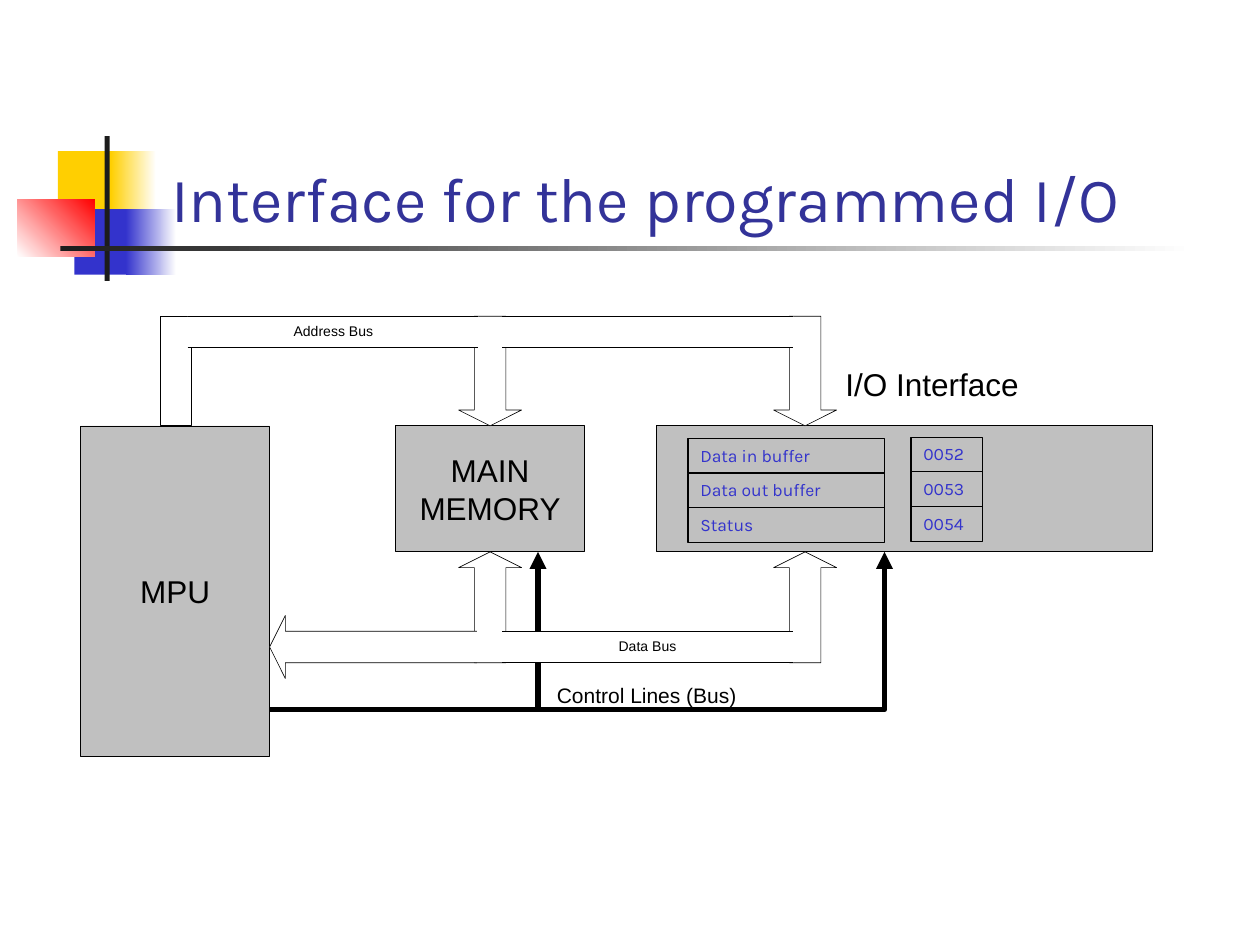
from dataclasses import dataclass

from lxml import etree
from pptx import Presentation
from pptx.dml.color import RGBColor
from pptx.enum.shapes import MSO_CONNECTOR, MSO_SHAPE
from pptx.enum.text import MSO_ANCHOR, PP_ALIGN
from pptx.oxml.ns import qn
from pptx.util import Inches, Pt

RECTANGLE = MSO_SHAPE.RECTANGLE
STRAIGHT = MSO_CONNECTOR.STRAIGHT
LEFT, CENTER = PP_ALIGN.LEFT, PP_ALIGN.CENTER
TOP, MIDDLE, BOTTOM = MSO_ANCHOR.TOP, MSO_ANCHOR.MIDDLE, MSO_ANCHOR.BOTTOM


@dataclass(frozen=True)
class Theme:
    black: str = "000000"
    white: str = "FFFFFF"
    block: str = "C0C0C0"
    title: str = "333399"
    blue: str = "3333CC"
    yellow: str = "FFCF01"
    red: str = "FF0000"
    charcoal: str = "1C1C1C"
    display_font: str = "Karla"
    diagram_font: str = "Arial"
    title_size: float = 36
    block_size: float = 18
    control_size: float = 12
    register_size: float = 10
    bus_size: float = 8
    hairline: float = 0.37
    register_line: float = 0.75
    control_line: float = 3.25


THEME = Theme()

# Shared bus geometry, in inches
BUS_WIDTH = 0.25
HEAD_LENGTH = BUS_WIDTH / 2
ADDRESS_TOP, DATA_TOP = 2.51, 5.01
BLOCK_TOP, BLOCK_BOTTOM = 3.38, 4.38
MPU_RIGHT = 2.14
MEMORY_X, IO_X = 3.89, 6.39
CONTROL_Y = 5.63


def rgb(color):
    return RGBColor.from_string(color)


def set_line(line, width, color=THEME.black):
    line.width = Pt(width)
    line.color.rgb = rgb(color)


def add_text(paragraph, text, size, color=THEME.black, font=THEME.diagram_font, align=LEFT):
    paragraph.alignment = align
    run = paragraph.add_run()
    run.text = text
    run.font.size = Pt(size)
    run.font.name = font
    run.font.color.rgb = rgb(color)


def add_box(slide, left, top, width, height, fill=None, line_width=None):
    box = slide.shapes.add_shape(RECTANGLE, *map(Inches, (left, top, width, height)))
    box.shadow.inherit = False
    if fill:
        box.fill.solid()
        box.fill.fore_color.rgb = rgb(fill)
    else:
        box.fill.background()
    if line_width:
        set_line(box.line, line_width)
    else:
        box.line.fill.background()
    return box


def add_fade(slide, left, top, width, height, start, end, angle=0):
    fill = add_box(slide, left, top, width, height).fill
    fill.gradient()
    fill.gradient_angle = angle
    for stop, color in zip(fill.gradient_stops, (start, end)):
        stop.color.rgb = rgb(color)


def add_block(slide, left, top, width, height, lines=()):
    block = add_box(slide, left, top, width, height, THEME.block, THEME.hairline)
    frame = block.text_frame
    frame.vertical_anchor = MIDDLE
    for i, text in enumerate(lines):
        paragraph = frame.add_paragraph() if i else frame.paragraphs[0]
        add_text(paragraph, text, THEME.block_size, align=CENTER)


def add_label(slide, left, top, width, height, text, size):
    frame = slide.shapes.add_textbox(*map(Inches, (left, top, width, height))).text_frame
    frame.margin_left = frame.margin_right = frame.margin_top = frame.margin_bottom = 0
    frame.word_wrap = False
    add_text(frame.paragraphs[0], text, size)


def add_line(slide, start, end, width):
    line = slide.shapes.add_connector(STRAIGHT, *map(Inches, (*start, *end)))
    set_line(line.line, width)
    etree.SubElement(line._element.spPr, qn("a:effectLst"))
    return line


def add_outline(slide, points, width, fill=None, close=False):
    corners = [(Inches(x), Inches(y)) for x, y in points]
    builder = slide.shapes.build_freeform(*corners[0])
    builder.add_line_segments(corners[1:], close=close)
    outline = builder.convert_to_shape()
    outline.shadow.inherit = False
    if fill:
        outline.fill.solid()
        outline.fill.fore_color.rgb = rgb(fill)
    else:
        outline.fill.background()
    set_line(outline.line, width)
    return outline


def add_arrowhead(shape):
    etree.SubElement(shape.line._get_or_add_ln(), qn("a:tailEnd"), type="triangle")


def add_bus_arrow(slide, tip, length, back, close=True):
    """Block arrow whose shaft runs from the tip along the unit vector back."""
    (x, y), (dx, dy) = tip, back
    half = BUS_WIDTH / 2
    profile = [(length, half), (HEAD_LENGTH, half), (HEAD_LENGTH, BUS_WIDTH), (0, 0),
               (HEAD_LENGTH, -BUS_WIDTH), (HEAD_LENGTH, -half), (length, -half)]
    points = [(x + along * dx - side * dy, y + along * dy + side * dx)
              for along, side in profile]
    add_outline(slide, points, THEME.hairline, THEME.white, close)


def add_bus_band(slide, start, end, top):
    """Stretch of bus that opens into the shafts at both of its ends."""
    overlap = 0.03
    add_box(slide, start - overlap, top, end - start + 2 * overlap, BUS_WIDTH, THEME.white)
    for y in (top + BUS_WIDTH, top):
        add_line(slide, (start - overlap, y), (end + overlap, y), THEME.hairline)


def add_registers(slide, left, top, width, entries):
    pitch = 0.275
    for i, text in enumerate(entries):
        register = add_box(slide, left, top + i * pitch, width, pitch,
                           line_width=THEME.register_line)
        register.text_frame.vertical_anchor = TOP
        add_text(register.text_frame.paragraphs[0], text, THEME.register_size,
                 THEME.blue, THEME.display_font)


def add_decoration(slide):
    add_box(slide, 0.46, 1.2, 0.48, 0.52, THEME.yellow)
    add_fade(slide, 0.88, 1.2, 0.36, 0.52, THEME.yellow, THEME.white)
    add_box(slide, 0.59, 1.66, 0.46, 0.52, THEME.blue)
    add_fade(slide, 1, 1.66, 0.4, 0.52, THEME.blue, THEME.white)
    add_fade(slide, 0.14, 1.58, 0.61, 0.46, THEME.white, THEME.red, angle=45)
    add_box(slide, 0.83, 1.08, 0.04, 1.15, THEME.charcoal)
    add_fade(slide, 0.48, 1.95, 9, 0.04, THEME.charcoal, THEME.white)


def set_title(slide, text):
    title = slide.shapes.title
    title.left, title.top, title.width, title.height = map(Inches, (1.26, 0.67, 8.52, 1.25))
    title.text_frame.vertical_anchor = BOTTOM
    add_text(title.text_frame.paragraphs[0], text, THEME.title_size,
             THEME.title, THEME.display_font)


def main():
    prs = Presentation()
    prs.slide_width, prs.slide_height = Inches(10), Inches(7.5)
    slide = prs.slides.add_slide(prs.slide_layouts[5])
    add_decoration(slide)
    set_title(slide, "Interface for the programmed I/O")

    # Control branch to memory, passing behind the data bus
    add_arrowhead(add_line(slide, (4.27, CONTROL_Y), (4.27, BLOCK_BOTTOM), THEME.control_line))

    # Blocks
    add_block(slide, 0.64, BLOCK_TOP, 1.5, 2.62, ["MPU"])
    add_block(slide, 3.14, BLOCK_TOP, 1.5, 1, ["MAIN", "MEMORY"])
    add_block(slide, 5.21, BLOCK_TOP, 3.94, 1)
    add_label(slide, 6.71, 2.9, 1.45, 0.3, "I/O Interface", THEME.block_size)

    # Data bus; the arrow to the MPU reaches just inside the memory shaft
    half = BUS_WIDTH / 2
    for x in (IO_X, MEMORY_X):
        add_bus_arrow(slide, (x, BLOCK_BOTTOM), DATA_TOP + BUS_WIDTH - BLOCK_BOTTOM, (0, 1))
    add_bus_band(slide, MEMORY_X + half, IO_X - half, DATA_TOP)
    add_bus_arrow(slide, (MPU_RIGHT, DATA_TOP + half), MEMORY_X - half - MPU_RIGHT + 0.02,
                  (1, 0), close=False)
    add_label(slide, 4.91, 5.06, 0.55, 0.13, "Data Bus", THEME.bus_size)

    # Address bus
    riser_left = 1.27
    for x in (MEMORY_X, IO_X):
        add_bus_arrow(slide, (x, BLOCK_TOP), BLOCK_TOP - ADDRESS_TOP, (0, -1))
    add_box(slide, riser_left, ADDRESS_TOP, BUS_WIDTH, BLOCK_TOP - ADDRESS_TOP,
            THEME.white, THEME.hairline)
    add_bus_band(slide, MEMORY_X + half, IO_X - half, ADDRESS_TOP)
    add_bus_band(slide, riser_left + BUS_WIDTH, MEMORY_X - half, ADDRESS_TOP)
    add_label(slide, 2.33, 2.56, 0.75, 0.13, "Address Bus", THEME.bus_size)

    # Control bus
    control_route = [(MPU_RIGHT, CONTROL_Y), (7.02, CONTROL_Y), (7.02, BLOCK_BOTTOM)]
    add_arrowhead(add_outline(slide, control_route, THEME.control_line))
    add_label(slide, 4.42, 5.42, 1.5, 0.2, "Control Lines (Bus)", THEME.control_size)

    # Interface registers and their addresses
    add_registers(slide, 5.46, 3.48, 1.56, ["Data in buffer", "Data out buffer", "Status"])
    add_registers(slide, 7.23, 3.47, 0.57, ["0052", "0053", "0054"])

    prs.save("out.pptx")


if __name__ == "__main__":
    main()
